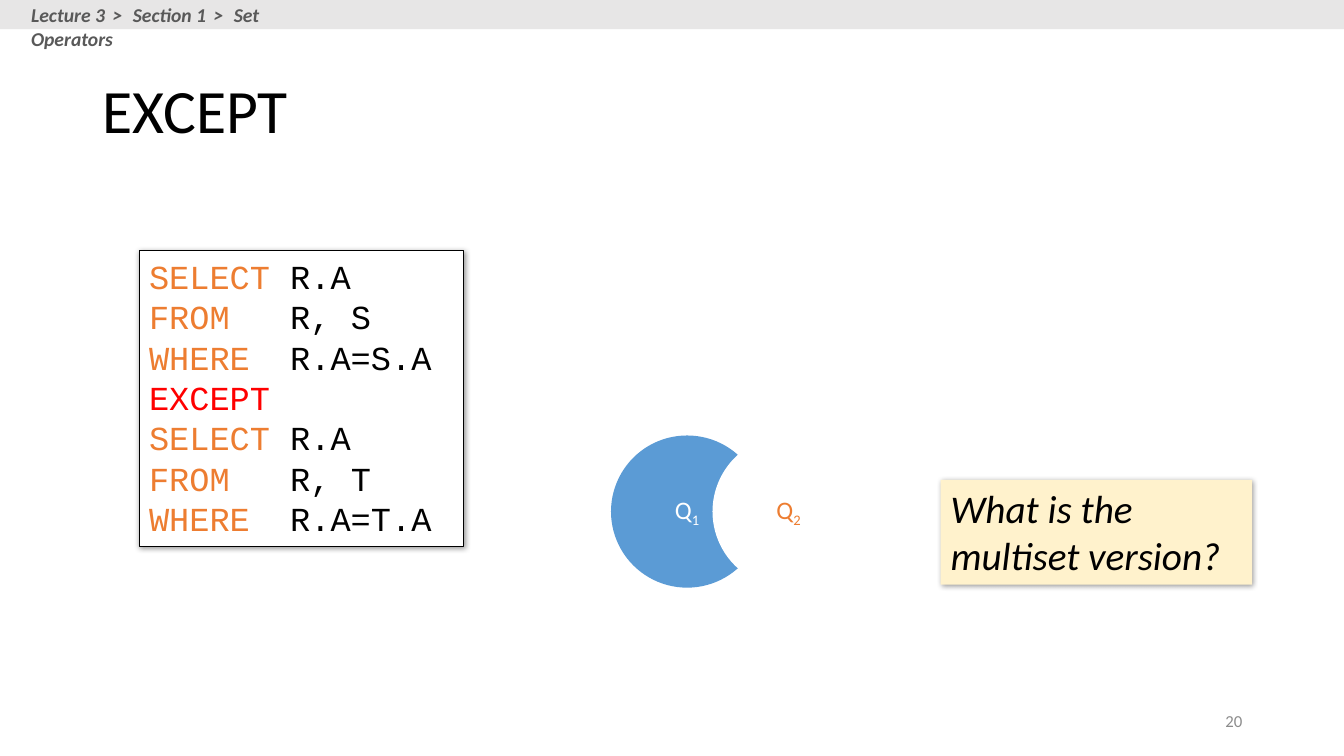
from lxml import etree
from pptx import Presentation
from pptx.dml.color import RGBColor
from pptx.enum.shapes import MSO_SHAPE
from pptx.enum.text import MSO_ANCHOR, PP_ALIGN
from pptx.oxml.ns import qn
from pptx.util import Inches, Pt

RECT, OVAL = MSO_SHAPE.RECTANGLE, MSO_SHAPE.OVAL
TOP, MIDDLE = MSO_ANCHOR.TOP, MSO_ANCHOR.MIDDLE
LEFT, CENTER, RIGHT = PP_ALIGN.LEFT, PP_ALIGN.CENTER, PP_ALIGN.RIGHT

WIDE, HIGH = 13.33, 7.5
COLORS = {
    "black": "000000", "white": "FFFFFF", "bar": "E7E6E6", "crumb": "595959",
    "number": "8C8C8C", "key": "ED7D31", "except": "FF0000",
    "blue": "5B9BD5", "cream": "FFF2CC",
}

TITLE = "EXCEPT"
CRUMBS = ["Lecture 3", "Section 1", "Set Operators"]
QUERY = [
    ("SELECT", " R.A"),
    ("FROM", "   R, S"),
    ("WHERE", "  R.A=S.A"),
    ("EXCEPT", ""),
    ("SELECT", " R.A"),
    ("FROM", "   R, T"),
    ("WHERE", "  R.A=T.A"),
]
SETS = [("Q", "1", "blue", "white"), ("Q", "2", "white", "key")]
QUESTION = "What is the multiset version?"
NUMBER = "20"

ROUND = 1.51          # diameter of a set
STEP = ROUND * 2 / 3  # the sets overlap by a third
SETS_AT = (6.06, 4.32)


def rgb(name):
    return RGBColor.from_string(COLORS[name])


def place(shape, box):
    for side, size in zip(("left", "top", "width", "height"), box):
        setattr(shape, side, Inches(size))


def frame(shape, anchor=TOP):
    text = shape.text_frame
    text.word_wrap = True
    text.vertical_anchor = anchor
    return text


def write(para, text, color, size, name="Calibri", **style):
    run = para.add_run()
    run.text = text
    look = {"name": name, "size": Pt(size), **style}
    for key, value in look.items():
        setattr(run.font, key, value)
    run.font.color.rgb = rgb(color)
    return run


def draw(kind, box, fill, line=None):
    shape = slide.shapes.add_shape(kind, *map(Inches, box))
    shape.shadow.inherit = False
    shape.fill.solid()
    shape.fill.fore_color.rgb = rgb(fill)
    if line:
        shape.line.color.rgb = rgb(line)
        shape.line.width = Pt(0.75)
    else:
        shape.line.fill.background()
    return shape


def shade(shape):
    """Give the shape a soft shadow to the lower right."""
    effects = shape._element.spPr.find(qn("a:effectLst"))
    outer = etree.SubElement(
        effects, qn("a:outerShdw"), blurRad=str(Pt(4)), dist=str(Pt(1)),
        dir=str(45 * 60000), algn="tl", rotWithShape="0")
    color = etree.SubElement(outer, qn("a:srgbClr"), val=COLORS["black"])
    etree.SubElement(color, qn("a:alpha"), val="40000")


def add_title():
    title = slide.shapes.title
    place(title, (0.92, 0.4, 11.5, 1.45))
    para = frame(title, MIDDLE).paragraphs[0]
    para.alignment = LEFT
    para.line_spacing = 0.9
    write(para, TITLE, "black", 44)


def add_number():
    box = slide.shapes.add_textbox(*map(Inches, (9.42, 6.95, 3, 0.4)))
    para = frame(box, MIDDLE).paragraphs[0]
    para.alignment = RIGHT
    write(para, NUMBER, "number", 12)


def add_query():
    box = draw(RECT, (1.38, 2.49, 3.22, 2.93), "white", "black")
    shade(box)
    text = frame(box)
    for i, (key, rest) in enumerate(QUERY):
        para = text.add_paragraph() if i else text.paragraphs[0]
        para.alignment = LEFT
        color = "key" if rest else "except"
        write(para, key, color, 24, "Courier New")
        if rest:
            write(para, rest, "black", 24, "Courier New")


def add_crumbs():
    draw(RECT, (0, 0, WIDE, 0.29), "bar")
    box = slide.shapes.add_textbox(*map(Inches, (0.21, -0.02, 3.27, 0.34)))
    para = frame(box).paragraphs[0]
    style = {"bold": True, "italic": True}
    for i, crumb in enumerate(CRUMBS):
        if i:
            mark = write(para, " > ", "crumb", 14, **style)
            mark._r.get_or_add_rPr().set("spc", "210")
        write(para, crumb, "crumb", 14, **style)


def add_sets():
    left, top = SETS_AT
    for i, (name, index, fill, ink) in enumerate(SETS):
        disc = draw(OVAL, (left + i * STEP, top, ROUND, ROUND), fill)
        para = frame(disc, MIDDLE).paragraphs[0]
        para.alignment = CENTER
        write(para, name, ink, 18)
        low = write(para, index, ink, 18)
        low._r.get_or_add_rPr().set("baseline", "-25000")


def add_question():
    box = draw(RECT, (9.33, 4.76, 3.09, 1.04), "cream")
    shade(box)
    para = frame(box).paragraphs[0]
    para.alignment = LEFT
    write(para, QUESTION, "black", 28, italic=True)


deck = Presentation()
deck.slide_width, deck.slide_height = Inches(WIDE), Inches(HIGH)
slide = deck.slides.add_slide(deck.slide_layouts[5])
add_title()
add_number()
add_query()
add_crumbs()
add_sets()
add_question()
deck.save("out.pptx")
